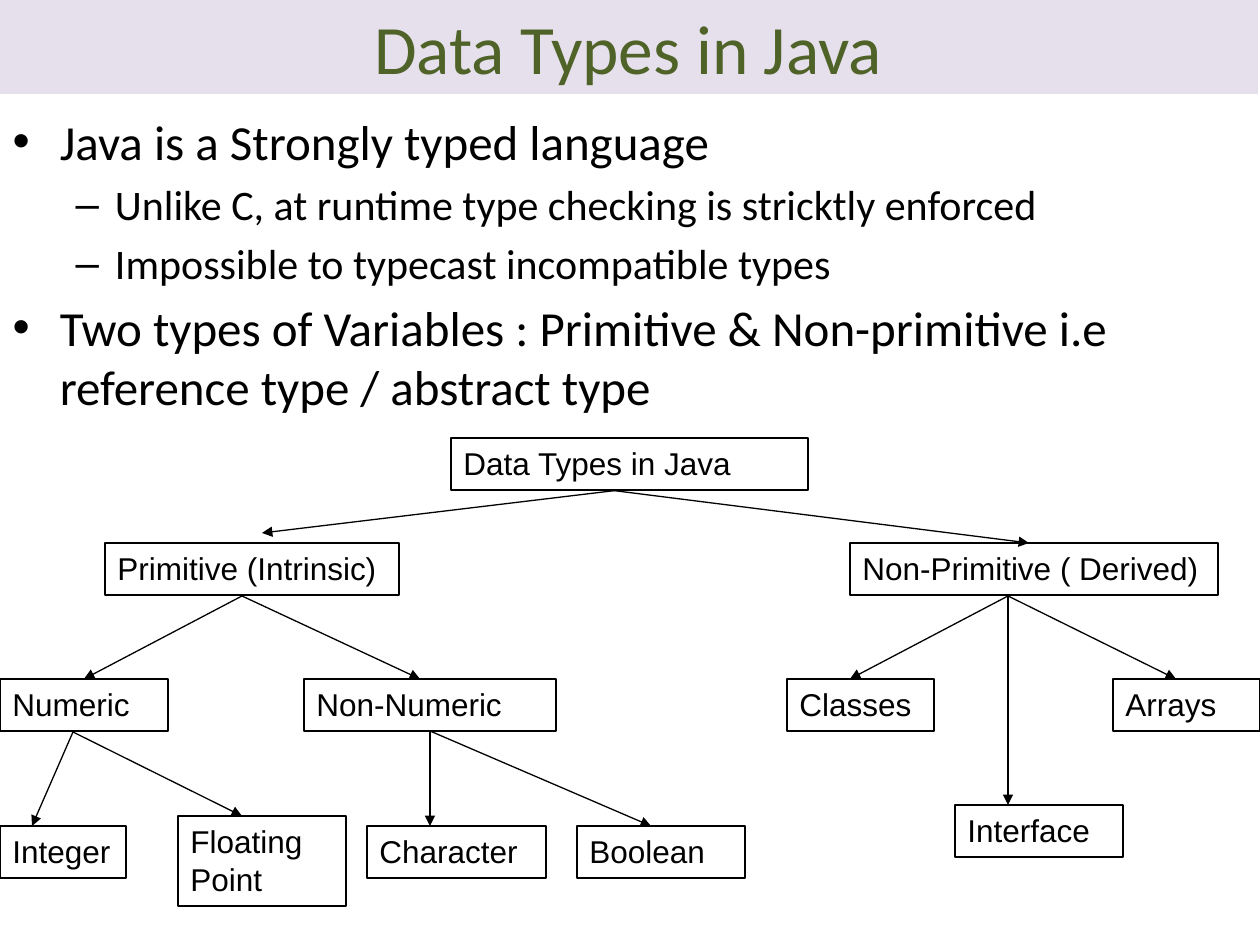
from pptx import Presentation
from pptx.dml.color import RGBColor
from pptx.enum import shapes, text
from pptx.oxml.ns import qn
from pptx.util import Pt
from lxml import etree

PX = 914400 / 126
BLACK = "000000"
BOX_H = 52

BULLETS = [
    (0, "Java is a Strongly typed language"),
    (1, "Unlike C, at runtime type checking is stricktly enforced"),
    (1, "Impossible to typecast incompatible types"),
    (0, "Two types of Variables : Primitive & Non-primitive i.e "
        "reference type / abstract type"),
]

# label: left, top, width, height
BOXES = {
    "Data Types in Java": (451, 438, 357, BOX_H),
    "Primitive (Intrinsic)": (105, 543, 294, BOX_H),
    "Non-Primitive ( Derived)": (850, 543, 368, BOX_H),
    "Numeric": (0, 679, 168, BOX_H),
    "Non-Numeric": (304, 679, 252, BOX_H),
    "Classes": (787, 679, 147, BOX_H),
    "Arrays": (1113, 679, 147, BOX_H),
    "Integer": (0, 826, 126, BOX_H),
    "Floating Point": (178, 816, 168, 90),
    "Character": (367, 826, 179, BOX_H),
    "Boolean": (577, 826, 168, BOX_H),
    "Interface": (955, 805, 168, BOX_H),
}

# start point, end points
BRANCHES = [
    ((620, 490), [(262, 533)]),
    ((609, 490), [(1029, 543)]),
    ((242, 596), [(84, 679), (420, 679)]),
    ((73, 732), [(32, 826), (242, 816)]),
    ((430, 731), [(430, 826), (651, 826)]),
    ((1008, 596), [(850, 679), (1176, 679), (1008, 805)]),
]


def px(n):
    return round(n * PX)


def color(hex_code):
    return RGBColor.from_string(hex_code)


def place(s, left, top, width, height):
    s.left, s.top, s.width, s.height = map(px, (left, top, width, height))


def style(p, size, font, hex_code):
    for r in p.runs:
        r.font.size = Pt(size)
        r.font.name = font
        r.font.color.rgb = color(hex_code)


def fill_title(title):
    place(title, -2, 0, 1260, 94)
    title.fill.solid()
    title.fill.fore_color.rgb = color("E6E0EC")
    tf = title.text_frame
    tf.text = "Data Types in Java"
    tf.vertical_anchor = text.MSO_ANCHOR.MIDDLE
    style(tf.paragraphs[0], 39.6, "Calibri", "4F6228")


def fill_body(body):
    place(body, 0, 105, 1260, 840)
    tf = body.text_frame
    tf.text = "\n".join(line for _, line in BULLETS)
    for p, (level, _) in zip(tf.paragraphs, BULLETS):
        p.level = level
        style(p, 24 if level else 28, "Calibri", BLACK)


def add_box(slide, label, bounds):
    s = slide.shapes.add_shape(shapes.MSO_SHAPE.RECTANGLE, *map(px, bounds))
    s.shadow.inherit = False
    s.fill.background()
    s.line.color.rgb = color(BLACK)
    s.line.width = Pt(0.75)
    tf = s.text_frame
    tf.text = label
    tf.word_wrap = True
    tf.auto_size = text.MSO_AUTO_SIZE.SHAPE_TO_FIT_TEXT
    tf.vertical_anchor = text.MSO_ANCHOR.TOP
    p = tf.paragraphs[0]
    p.alignment = text.PP_ALIGN.LEFT
    style(p, 18, "Arial", BLACK)
    return s


def add_arrow(slide, start, end, boxes):
    """Draw an arrow, joined to any box whose bottom or top middle it meets."""
    c = slide.shapes.add_connector(shapes.MSO_CONNECTOR.STRAIGHT,
                                   *map(px, start + end))
    c.line.color.rgb = color(BLACK)
    c.line.width = Pt(0.75)
    etree.SubElement(c.line._get_or_add_ln(), qn("a:tailEnd"), type="triangle")
    etree.SubElement(c._element.spPr, qn("a:effectLst"))
    for label, (left, top, width, height) in BOXES.items():
        middle = left + width / 2
        if start == (middle, top + height):
            c.begin_connect(boxes[label], 2)
        if end == (middle, top):
            c.end_connect(boxes[label], 0)


def main():
    prs = Presentation()
    prs.slide_width, prs.slide_height = px(1260), px(945)
    slide = prs.slides.add_slide(prs.slide_layouts[1])
    fill_title(slide.shapes.title)
    fill_body(slide.placeholders[1])
    boxes = {label: add_box(slide, label, bounds)
             for label, bounds in BOXES.items()}
    for start, ends in BRANCHES:
        for end in ends:
            add_arrow(slide, start, end, boxes)
    prs.save("out.pptx")


if __name__ == "__main__":
    main()
